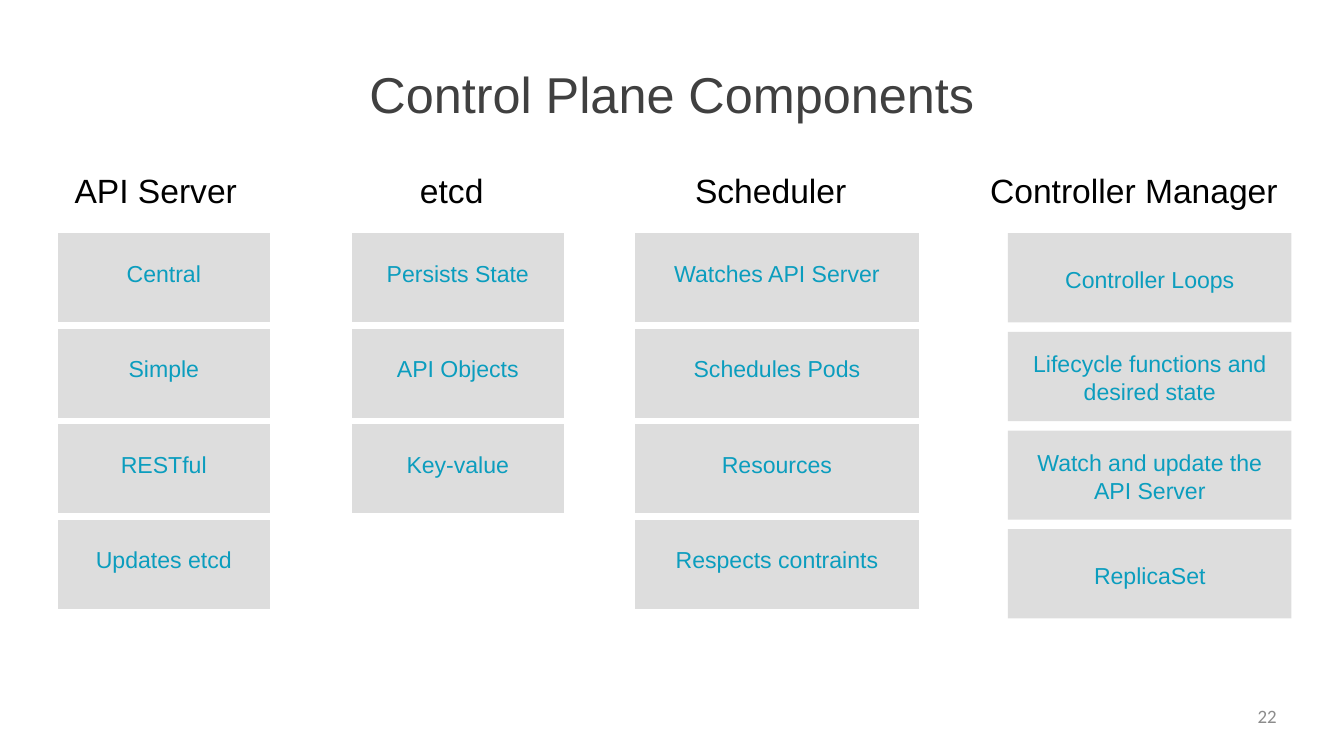
from collections import namedtuple
from dataclasses import dataclass

from lxml.etree import SubElement
from pptx import Presentation
from pptx.dml.color import RGBColor as RGB
from pptx.enum.shapes import MSO_SHAPE as Shape
from pptx.enum.text import MSO_ANCHOR as Anchor
from pptx.enum.text import MSO_AUTO_SIZE as AutoSize
from pptx.enum.text import PP_ALIGN as Align
from pptx.oxml.ns import qn
from pptx.util import Pt

PX = 12700  # EMU per px, on a 1280 x 720 slide
Box = namedtuple("Box", "left top width height")
Style = namedtuple("Style", "size color font", defaults=["Arial"])


@dataclass(frozen=True)
class Theme:
    title: Style = Style(48, RGB(0x40, 0x40, 0x40))
    heading: Style = Style(32, RGB(0, 0, 0))
    card: Style = Style(22, RGB(0x0B, 0x9D, 0xBE))
    number: Style = Style(18, RGB(0x8C, 0x8C, 0x8C), "Calibri")
    card_fill: RGB = RGB(0xDD, 0xDD, 0xDD)


THEME = Theme()
CARD_HEIGHT = 85
NO_GRID_STYLE = "{2D5ABB26-0587-4C30-8999-92F81FD0307C}"

HEADINGS = [
    ("etcd\tScheduler", Box(400, 161, 407, 40)),
    ("Controller Manager", Box(943, 161, 280, 40)),
    ("API Server", Box(71, 161, 160, 40)),
]
SCHEDULER_TAB = 262

COLUMN_WIDTHS = [202, 78, 202, 68, 270]
COMPONENT_ROWS = [
    ("Central", "Persists State", "Watches API Server"),
    ("Simple", "API Objects", "Schedules Pods"),
    ("RESTful", "Key-value", "Resources"),
    ("Updates etcd", "", "Respects contraints"),
]
CONTROLLER_CARDS = [
    "Controller Loops",
    "Lifecycle functions and desired state",
    "Watch and update the API Server",
    "ReplicaSet",
]


def emu(box):
    return [length * PX for length in box]


def write(frame, text, style, align=Align.LEFT):
    paragraph = frame.paragraphs[0]
    paragraph.alignment = align
    run = paragraph.add_run()
    run.text = text
    run.font.name = style.font
    run.font.size = Pt(style.size)
    run.font.color.rgb = style.color
    return paragraph


def set_margins(owner, left=0, top=0, right=0, bottom=0):
    owner.margin_left, owner.margin_top = left * PX, top * PX
    owner.margin_right, owner.margin_bottom = right * PX, bottom * PX


def add_title(slide, box, text):
    title = slide.shapes.title
    title.left, title.top, title.width, title.height = emu(box)
    frame = title.text_frame
    frame.auto_size = AutoSize.NONE
    frame.word_wrap = False
    frame.vertical_anchor = Anchor.TOP
    set_margins(frame, top=1)
    write(frame, text, THEME.title, Align.CENTER)


def add_label(slide, box, text, style, align=Align.LEFT):
    frame = slide.shapes.add_textbox(*emu(box)).text_frame
    frame.word_wrap = True
    set_margins(frame, top=1)
    return write(frame, text, style, align)


def add_headings(slide):
    for text, box in HEADINGS:
        paragraph = add_label(slide, box, text, THEME.heading)
        if "\t" in text:
            tabs = SubElement(paragraph._p.get_or_add_pPr(), qn("a:tabLst"))
            SubElement(tabs, qn("a:tab"), pos=str(SCHEDULER_TAB * PX), algn="l")


def fill_cell(cell, text):
    set_margins(cell)
    if text:
        cell.margin_bottom = 7 * PX
        cell.vertical_anchor = Anchor.MIDDLE
        cell.fill.solid()
        cell.fill.fore_color.rgb = THEME.card_fill
        write(cell.text_frame, text, THEME.card, Align.CENTER)
    else:
        cell.fill.background()
        end = cell.text_frame.paragraphs[0]._p.get_or_add_endParaRPr()
        end.set("sz", "100")


def add_component_table(slide, left, top, gap):
    """Cards sit in the even rows and columns; the odd ones are gutters."""
    row_count = 2 * len(COMPONENT_ROWS) - 1
    heights = [gap if row % 2 else CARD_HEIGHT for row in range(row_count)]
    box = Box(left, top, sum(COLUMN_WIDTHS), sum(heights))
    table = slide.shapes.add_table(row_count, len(COLUMN_WIDTHS), *emu(box)).table
    table.first_row = table.horz_banding = False
    table._tbl.tblPr.find(qn("a:tableStyleId")).text = NO_GRID_STYLE
    for column, width in zip(table.columns, COLUMN_WIDTHS):
        column.width = width * PX
    for r, height in enumerate(heights):
        table.rows[r].height = height * PX
        for c in range(len(COLUMN_WIDTHS)):
            is_gutter = r % 2 or c % 2
            text = "" if is_gutter else COMPONENT_ROWS[r // 2][c // 2]
            fill_cell(table.cell(r, c), text)


def add_controller_cards(slide, left, top, width, pitch):
    for index, text in enumerate(CONTROLLER_CARDS):
        box = Box(left, top + index * pitch, width, CARD_HEIGHT)
        card = slide.shapes.add_shape(Shape.RECTANGLE, *emu(box))
        card.shadow.inherit = False
        card.fill.solid()
        card.fill.fore_color.rgb = THEME.card_fill
        card.line.fill.background()
        frame = card.text_frame
        frame.word_wrap = True
        frame.vertical_anchor = Anchor.MIDDLE
        set_margins(frame, left=16, top=2, right=16)
        write(frame, text, THEME.card, Align.CENTER)


def main():
    deck = Presentation()
    deck.slide_width, deck.slide_height = 1280 * PX, 720 * PX
    slide = deck.slides.add_slide(deck.slide_layouts[5])
    add_title(slide, Box(351, 59, 578, 60), "Control Plane Components")
    add_headings(slide)
    add_component_table(slide, left=55, top=222, gap=6)
    add_controller_cards(slide, left=960, top=222, width=270, pitch=94)
    add_label(slide, Box(922, 670, 294, 36), "22", THEME.number, Align.RIGHT)
    deck.save("out.pptx")


if __name__ == "__main__":
    main()
